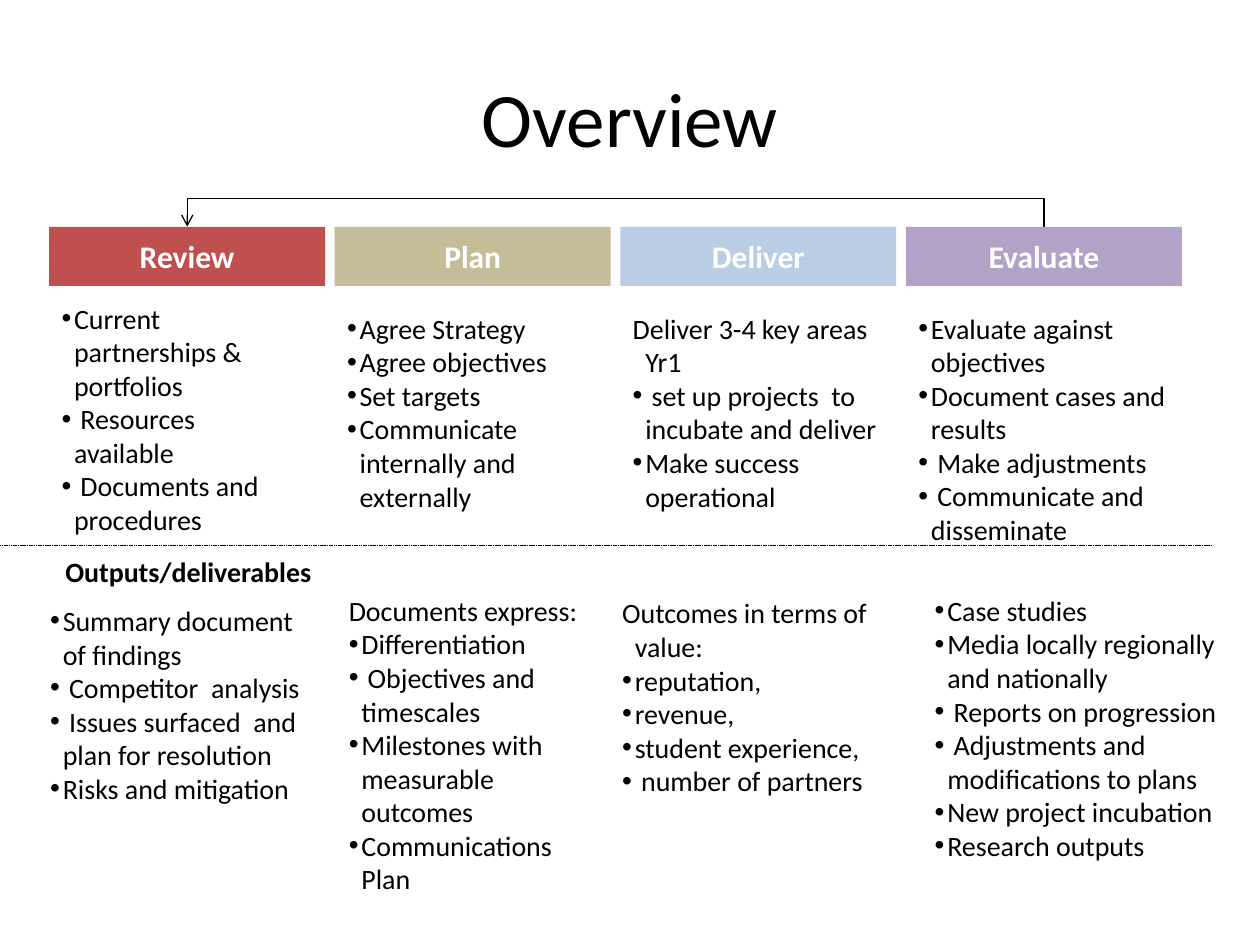
import pptx
import pptx.util
import pptx.dml.color
import pptx.enum.dml
import pptx.enum.shapes
import pptx.enum.text
import pptx.oxml
import pptx.oxml.ns
import lxml.etree
from dataclasses import dataclass

Inches = pptx.util.Inches
Pt = pptx.util.Pt
Align = pptx.enum.text.PP_ALIGN
Anchor = pptx.enum.text.MSO_ANCHOR
Kind = pptx.enum.shapes.MSO_CONNECTOR
qn = pptx.oxml.ns.qn


@dataclass
class Theme:
    font: str = "Calibri"
    ink: str = "000000"
    light: str = "FFFFFF"
    red: str = "C0504D"
    tan: str = "C4BD97"
    blue: str = "B9CDE5"
    plum: str = "B3A2C7"
    title: int = 44
    head: int = 18
    body: int = 16


def add(node, tag, **attrs):
    return lxml.etree.SubElement(node, qn(tag), attrs)


def write(para, text, size, color, font, bold=False, align=Align.LEFT,
          hang=0, bullet=False):
    run = para.add_run()
    run.text = text
    run.font.size = Pt(size)
    run.font.name = font
    run.font.bold = bold
    run.font.color.rgb = pptx.dml.color.RGBColor.from_string(color)
    para.alignment = align
    if hang:
        props = para._p.get_or_add_pPr()
        props.set("marL", str(Inches(hang)))
        props.set("indent", str(-Inches(hang)))
        if bullet:
            add(props, "a:buFont", typeface="Arial")
            add(props, "a:buChar", char="•")
        else:
            add(props, "a:buNone")


class Board:
    def __init__(self, deck, theme):
        self.theme = theme
        self.slide = deck.slides.add_slide(deck.slide_layouts[6])

    def frame(self, left, top, width, height):
        box = self.slide.shapes.add_textbox(
            Inches(left), Inches(top), Inches(width), Inches(height))
        box.text_frame.word_wrap = True
        return box.text_frame

    def title(self, text, left, top, width, height):
        frame = self.frame(left, top, width, height)
        frame.vertical_anchor = Anchor.MIDDLE
        write(frame.paragraphs[0], text, self.theme.title, self.theme.ink,
              self.theme.font, align=Align.CENTER)

    def head(self, text, fill, left, top, width, height):
        box = self.slide.shapes.add_shape(
            pptx.enum.shapes.MSO_SHAPE.RECTANGLE,
            Inches(left), Inches(top), Inches(width), Inches(height))
        box.shadow.inherit = False
        box.fill.solid()
        box.fill.fore_color.rgb = pptx.dml.color.RGBColor.from_string(fill)
        box.line.fill.background()
        frame = box.text_frame
        frame.vertical_anchor = Anchor.MIDDLE
        frame.margin_left = frame.margin_right = Inches(0.04)
        frame.margin_top = frame.margin_bottom = Inches(0.04)
        write(frame.paragraphs[0], text, self.theme.head, self.theme.light,
              self.theme.font, bold=True, align=Align.CENTER)

    def items(self, lines, left, top, width, height, intro=None, bold=False):
        frame = self.frame(left, top, width, height)
        rows = [(line, True) for line in lines]
        if intro:
            rows.insert(0, (intro, False))
        for i, (line, bullet) in enumerate(rows):
            para = frame.add_paragraph() if i else frame.paragraphs[0]
            write(para, line, self.theme.body, self.theme.ink,
                  self.theme.font, bold=bold, hang=0.1, bullet=bullet)

    def line(self, kind, start, end, weight):
        link = self.slide.shapes.add_connector(kind, *start, *end)
        link.line.width = Pt(weight)
        link.line.color.rgb = pptx.dml.color.RGBColor.from_string(
            self.theme.ink)
        add(link._element.spPr, "a:effectLst")
        return link

    def rule(self, top, width):
        link = self.line(Kind.STRAIGHT, (0, Inches(top)),
                         (Inches(width), Inches(top)), 0.25)
        link.line.dash_style = pptx.enum.dml.MSO_LINE.SQUARE_DOT

    def loop(self, left, right, base, rise):
        thin = Pt(0.125)
        mid = Inches((left + right) / 2)
        half = Inches((right - left) / 2)
        link = self.line(Kind.ELBOW, (mid, Inches(base) + half),
                         (mid + thin, Inches(base) - half), 0.75)
        props = link._element.spPr
        props.find(qn("a:xfrm")).set("rot", str(270 * 60000))
        guides = props.find(qn("a:prstGeom")).get_or_add_avLst()
        ratio = round(Inches(rise) / thin * 100000)
        add(guides, "a:gd", name="adj1", fmla=f"val {ratio}")
        add(link.line._get_or_add_ln(), "a:tailEnd", type="arrow")


theme = Theme()
deck = pptx.Presentation()
deck.slide_width, deck.slide_height = Inches(10), Inches(7.5)
board = Board(deck, theme)

left, top, wide, tall = 0.39, 1.8, 2.19, 0.47
span = 6.8
step = span / 3
heads = [("Review", theme.red), ("Plan", theme.tan),
         ("Deliver", theme.blue), ("Evaluate", theme.plum)]

tasks = [
    (2.34, 1.96, 1.99, None,
     ["Current partnerships & portfolios", " Resources available",
      " Documents and procedures"]),
    (2.42, 2.2, 1.72, None,
     ["Agree Strategy", "Agree objectives", "Set targets",
      "Communicate internally and externally"]),
    (2.42, 2.19, 1.72, "Deliver 3-4 key areas Yr1",
     [" set up projects  to incubate and deliver",
      "Make success operational"]),
    (2.42, 2.61, 2.26, None,
     ["Evaluate against objectives", "Document cases and results",
      " Make adjustments", " Communicate and disseminate"]),
]

outputs = [
    (0.3, 4.74, 2.19, 1.72, None,
     ["Summary document of findings", " Competitor  analysis",
      " Issues surfaced  and plan for resolution",
      "Risks and mitigation"]),
    (2.67, 4.66, 2.19, 3.17, "Documents express:",
     ["Differentiation", " Objectives and timescales",
      "Milestones with measurable outcomes", "Communications Plan"]),
    (4.84, 4.68, 2.56, 2.61, "Outcomes in terms of value:",
     ["reputation,", "revenue,", "student experience,",
      " number of partners"]),
    (7.32, 4.66, 2.68, 2.52, None,
     ["Case studies", "Media locally regionally and nationally",
      " Reports on progression", " Adjustments and modifications to plans",
      "New project incubation", "Research outputs"]),
]

board.title("Overview", 0.5, 0.3, 9, 1.25)
for i, (name, fill) in enumerate(heads):
    board.head(name, fill, left + i * step, top, wide, tall)
for i, (y, width, height, intro, lines) in enumerate(tasks):
    board.items(lines, left + i * step, y, width, height, intro)
board.rule(4.33, 9.61)
for x, y, width, height, intro, lines in outputs:
    board.items(lines, x, y, width, height, intro)
center = left + wide / 2
board.loop(center, center + span, top, 0.25)
board.items([], 0.42, 4.35, wide, 0.37, "Outputs/deliverables", bold=True)

deck.save("out.pptx")
